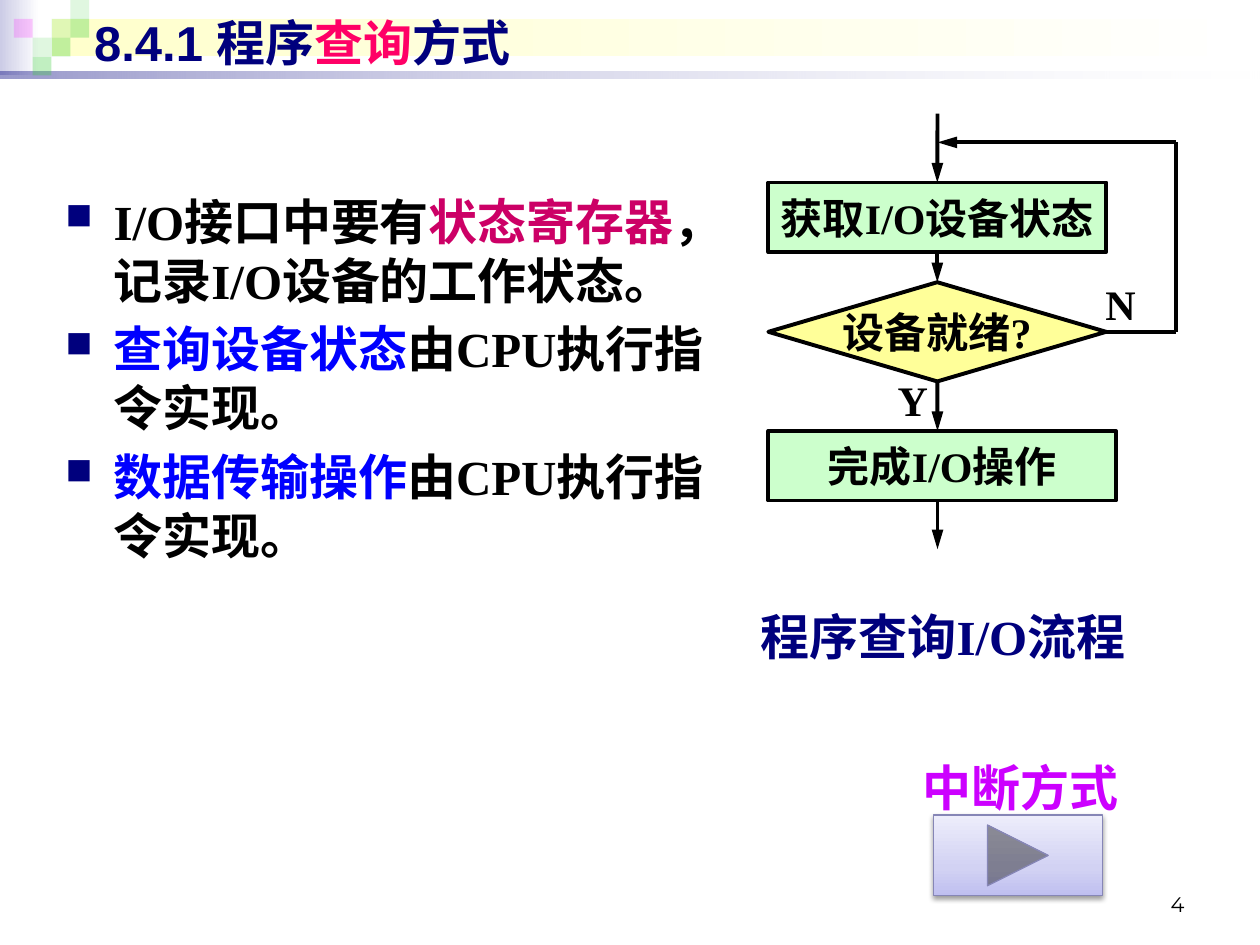
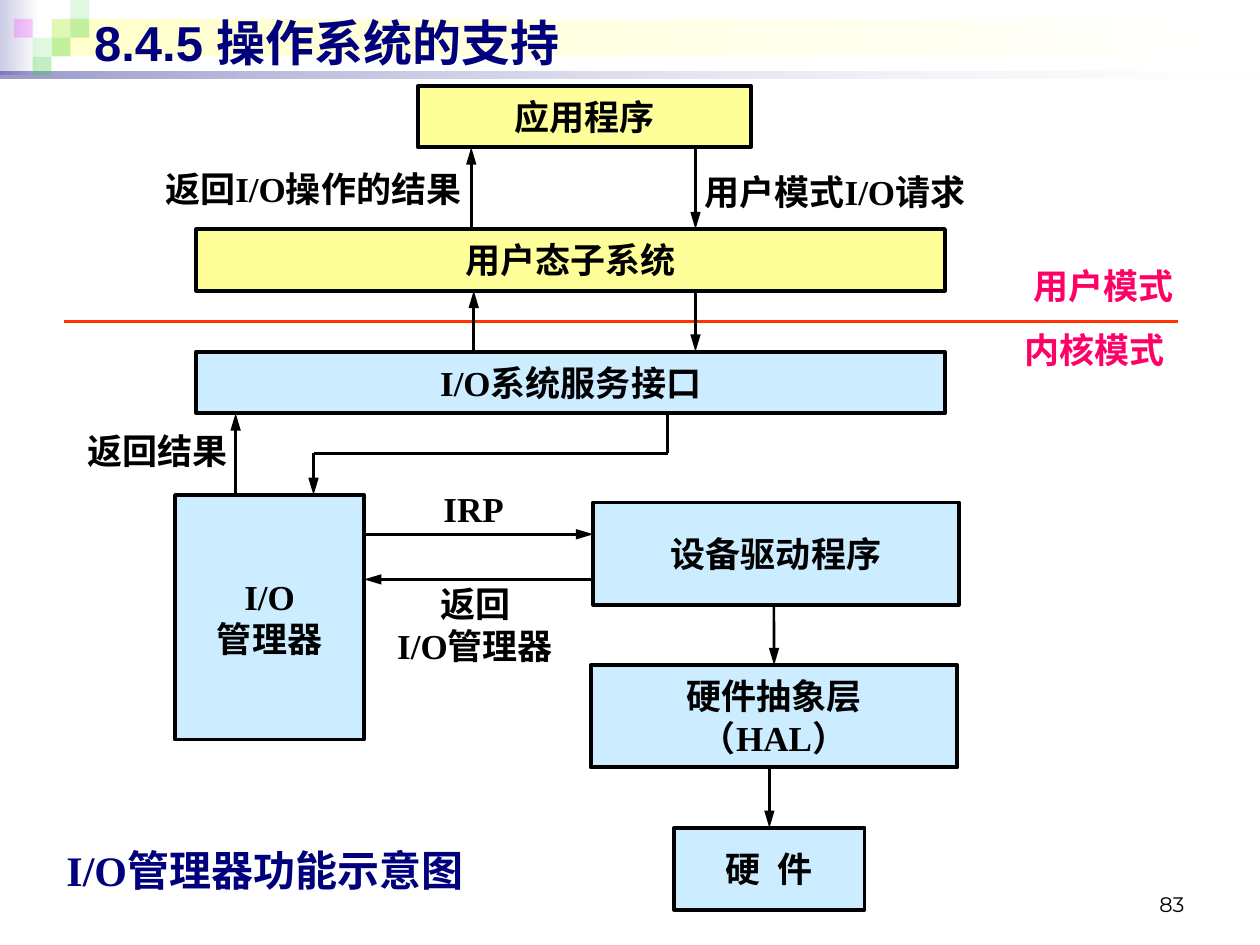
import pptx
import pptx.util
import pptx.dml.color
import pptx.enum.shapes
import pptx.enum.text
import pptx.oxml
import pptx.oxml.ns
from lxml import etree

Cm, Pt = pptx.util.Cm, pptx.util.Pt
qn = pptx.oxml.ns.qn
SHAPE = pptx.enum.shapes.MSO_SHAPE
ALIGN = {"l": pptx.enum.text.PP_ALIGN.LEFT, "c": pptx.enum.text.PP_ALIGN.CENTER,
         "r": pptx.enum.text.PP_ALIGN.RIGHT}
ANCHOR = {"t": pptx.enum.text.MSO_ANCHOR.TOP, "m": pptx.enum.text.MSO_ANCHOR.MIDDLE,
          "b": pptx.enum.text.MSO_ANCHOR.BOTTOM}

COLORS = {
    "black": "000000", "white": "FFFFFF", "navy": "00007D", "pink": "FF0066",
    "crimson": "CC0066", "blue": "0000FF", "violet": "CC00FF", "orange": "FF3300",
    "mint": "CCFFCC", "yellow": "FFFF99", "sky": "CCECFF", "green": "33CC33",
    "magenta": "FF00FF", "lavender": "CCCCE6", "cream": "FFFFCC",
    "button_low": "BFBFF0", "button_mid": "D2D2F3", "button_high": "EDEDFB",
    "button_edge": "8686B6",
}
SERIF, SANS, NUMBER = "Times New Roman", "Arial", "Montserrat"

# Shared band: gradient strips, then squares on a grid (column, row, colour, opacity)
STRIPS = [
    ((0, 0, 0.79, 1.52), [(0, "lavender", 100), (100, "white", 100)]),
    ((1.04, 0.38, 24.26, 0.76), [(0, "cream", 100), (100, "white", 100)]),
    ((0, 1.45, 25.4, 0.13), [(0, "navy", 40), (100, "white", 10)]),
]
SQUARES = [(2, 1, "green", 15), (3, 0, "green", 15), (3, 1, "green", 30),
           (1, 2, "green", 15), (0, 1, "magenta", 20), (2, 2, "green", 30),
           (1, 3, "green", 30)]
SQUARE, SQUARES_LEFT = 0.38, 0.28

# Slide 1: polling. Paragraphs are lists of (text, colour) runs
POLL_TITLE = [("8.4.1 程序", "navy"), ("查询", "pink"), ("方式", "navy")]
POLL_POINTS = [
    [("I/O接口中要有", "black"), ("状态寄存器", "crimson"),
     ("，记录I/O设备的工作状态。", "black")],
    [("查询设备状态", "blue"), ("由CPU执行指令实现。", "black")],
    [("数据传输操作", "blue"), ("由CPU执行指令实现。", "black")],
]
AXIS, LOOP_X, LOOP_Y, READY_Y = 18.9, 23.7, 2.87, 6.69
POLL_BOXES = {  # name: (kind, place, fill, lines)
    "status": (SHAPE.FLOWCHART_PROCESS, (15.49, 3.68, 6.81, 1.4), "mint", ["获取I/O设备状态"]),
    "ready": (SHAPE.FLOWCHART_DECISION, (15.49, 5.69, 6.81, 2), "yellow", ["设备就绪?"]),
    "finish": (SHAPE.FLOWCHART_PROCESS, (15.49, 8.69, 7.01, 1.4), "mint", ["完成I/O操作"]),
}
POLL_LINES = [  # (from, to, arrow); an end is a point or (box, side)
    (("status", 2), ("ready", 0), True),
    ((AXIS, 2.29), ("status", 0), True),
    (("ready", 2), (AXIS, 8.69), True),
    ((AXIS, 10.09), (AXIS, 11.07), True),
    (("ready", 3), (LOOP_X, READY_Y), False),
    ((LOOP_X, READY_Y), (LOOP_X, LOOP_Y), False),
    ((LOOP_X, LOOP_Y), (AXIS, LOOP_Y), True),
]
POLL_LABELS = [  # (place, lines, size, colour, alignment)
    ((17.7, 7.42, 1.4, 1.27), ["Y"], 24, "black", "c"),
    ((21.89, 5.49, 1.4, 1.27), ["N"], 24, "black", "c"),
    ((14.5, 12.09, 9.02, 1.45), ["程序查询I/O流程"], 28, "navy", "c"),
    ((18.31, 15.14, 4.52, 1.45), ["中断方式"], 28, "violet", "c"),
]
BUTTON = (18.82, 16.43, 3.4, 1.63)
BUTTON_STOPS = [(0, "button_low", 100), (35, "button_mid", 100), (100, "button_high", 100)]

# Slide 2: operating system support
OS_TITLE = [("8.4.5 操作系统的支持", "navy")]
OS_CAPTION = [("I/O管理器功能示意图", "navy")]
RECT = SHAPE.RECTANGLE
OS_BOXES = {
    "service": (RECT, (3.96, 7.09, 15.09, 1.24), "sky", ["I/O系统服务接口"]),
    "manager": (RECT, (3.53, 9.98, 3.81, 4.93), "sky", ["I/O", "管理器"]),
    "app": (RECT, (8.43, 1.73, 6.71, 1.24), "yellow", ["应用程序"]),
    "subsystem": (RECT, (3.96, 4.62, 15.09, 1.24), "yellow", ["用户态子系统"]),
    "driver": (RECT, (11.96, 10.13, 7.37, 2.06), "sky", ["设备驱动程序"]),
    "hal": (RECT, (11.91, 13.41, 7.39, 2.06), "sky", ["硬件抽象层", "（HAL）"]),
    "hardware": (RECT, (13.59, 16.69, 3.84, 1.65), "sky", ["硬 件"]),
}
WIDE_SPACE = "硬 件"  # its space is widened by character spacing
REQUEST_X, TURN_Y = 14.02, 9.14
OS_LINES = [
    ((REQUEST_X, 2.97), (REQUEST_X, 4.62), True),
    ((REQUEST_X, 5.86), (REQUEST_X, 7.09), True),
    ((13.46, 8.33), (13.46, TURN_Y), False),
    ((13.46, TURN_Y), (6.32, TURN_Y), False),
    ((6.32, TURN_Y), (6.32, 9.98), True),
    ((4.75, 9.98), (4.75, 8.33), True),
    ((9.55, 7.09), (9.55, 5.86), True),
    ((9.5, 4.62), (9.5, 2.97), True),
    ((7.34, 10.77), (11.96, 10.77), True),
    ((11.96, 11.68), (7.34, 11.68), True),
    ((15.6, 12.19), ("hal", 0), True),
    ((15.51, 15.47), ("hardware", 0), True),
]
MODE_LINE = ((1.3, 6.48), (23.75, 6.48), False)
OS_LABELS = [
    ((20.5, 5.28, 3.51, 0.97), ["用户模式"], 20, "pink", "c"),
    ((20.65, 6.53, 3.66, 1.02), ["内核模式"], 20, "pink", "l"),
    ((8.94, 9.8, 1.57, 0.91), ["IRP"], 20, "black", "l"),
    ((7.7, 11.73, 3.76, 1.73), ["返回", "I/O管理器"], 20, "black", "c"),
    ((14.2, 3.35, 6.5, 1.02), ["用户模式I/O请求"], 20, "black", "l"),
    ((1.5, 8.53, 3.35, 1.12), ["返回结果"], 20, "black", "c"),
    ((2.06, 3.28, 7.24, 1.04), ["返回I/O操作的结果"], 20, "black", "r"),
]


def rgb(name):
    return pptx.dml.color.RGBColor.from_string(COLORS[name])


def lengths(values):
    return [Cm(v) for v in values]


def add_color(parent, name, opacity):
    clr = etree.SubElement(parent, qn("a:srgbClr"), val=COLORS[name])
    if opacity < 100:
        etree.SubElement(clr, qn("a:alpha"), val=str(opacity * 1000))


def set_gradient(sp, stops, angle=0):
    sp.fill.gradient()
    sp.fill.gradient_angle = angle
    gs_list = sp._element.spPr.find(".//" + qn("a:gsLst"))
    for gs in list(gs_list):
        gs_list.remove(gs)
    for pos, name, opacity in stops:
        gs = etree.SubElement(gs_list, qn("a:gs"), pos=str(pos * 1000))
        add_color(gs, name, opacity)


def add_shape(s, kind, place, fill=None, line=None, width=2.25):
    sp = s.shapes.add_shape(kind, *lengths(place))
    sp.shadow.inherit = False
    if fill:
        sp.fill.solid()
        sp.fill.fore_color.rgb = rgb(fill)
    if line:
        sp.line.color.rgb = rgb(line)
        sp.line.width = Pt(width)
    else:
        sp.line.fill.background()
    return sp


def add_bullet(p):
    pPr = p._p.get_or_add_pPr()
    pPr.set("marL", str(Cm(0.97)))
    pPr.set("indent", str(-Cm(0.97)))
    add_color(etree.SubElement(pPr, qn("a:buClr")), "navy", 100)
    etree.SubElement(pPr, qn("a:buSzPct"), val="75000")
    etree.SubElement(pPr, qn("a:buChar"), char="■")


def write(sp, paragraphs, size, font=SERIF, align="c", anchor="m", inset=(0, 0),
          bold=True, bullets=False, wrap=True):
    tf = sp.text_frame
    tf.word_wrap = wrap
    tf.vertical_anchor = ANCHOR[anchor]
    tf.margin_left = tf.margin_right = Cm(inset[0])
    tf.margin_top = tf.margin_bottom = Cm(inset[1])
    for i, runs in enumerate(paragraphs):
        p = tf.add_paragraph() if i else tf.paragraphs[0]
        if bullets:
            add_bullet(p)
            if i:
                p.space_before = Pt(5.6)
        p.alignment = ALIGN[align]
        for text, color in runs:
            r = p.add_run()
            r.text = text
            r.font.name, r.font.size, r.font.bold = font, Pt(size), bold
            r.font.color.rgb = rgb(color)
            if text == " ":
                r._r.get_or_add_rPr().set("spc", "500")


def add_text(s, place, paragraphs, size, **style):
    write(s.shapes.add_textbox(*lengths(place)), paragraphs, size, **style)


def add_line(s, line, boxes, color="black", width=1.5):
    start, end, arrow = line
    points = [(0, 0) if pt[0] in boxes else pt for pt in (start, end)]
    c = s.shapes.add_connector(pptx.enum.shapes.MSO_CONNECTOR.STRAIGHT,
                               *lengths(points[0] + points[1]))
    for pt, join in ((start, c.begin_connect), (end, c.end_connect)):
        if pt[0] in boxes:
            join(boxes[pt[0]], pt[1])
    c.line.color.rgb = rgb(color)
    c.line.width = Pt(width)
    spPr = c._element.spPr
    if arrow:
        etree.SubElement(spPr.find(qn("a:ln")), qn("a:tailEnd"), type="triangle", len="lg")
    etree.SubElement(spPr, qn("a:effectLst"))


def add_diagram(s, box_data, lines, labels, size, width):
    boxes = {}
    for name, (kind, place, fill, texts) in box_data.items():
        boxes[name] = sp = add_shape(s, kind, place, fill, "black")
        paragraphs = [[(t, "black")] for t in texts]
        if texts == [WIDE_SPACE]:
            paragraphs = [[(t, "black") for t in WIDE_SPACE]]
        write(sp, paragraphs, size, wrap=False)
    for line in lines:
        add_line(s, line, boxes, width=width)
    for place, texts, label_size, color, align in labels:
        add_text(s, place, [[(t, color)] for t in texts], label_size, align=align)


def new_slide(prs, title, number):
    s = prs.slides.add_slide(prs.slide_layouts[6])
    for place, stops in STRIPS:
        set_gradient(add_shape(s, RECT, place), stops)
    for col, row, color, opacity in SQUARES:
        place = (SQUARES_LEFT + col * SQUARE, row * SQUARE, SQUARE, SQUARE)
        sp = add_shape(s, RECT, place, color)
        clr = sp._element.spPr.find(qn("a:solidFill")).find(qn("a:srgbClr"))
        etree.SubElement(clr, qn("a:alpha"), val=str(opacity * 1000))
    add_text(s, (18.21, 17.35, 5.92, 1.27), [[(number, "black")]], 12, font=NUMBER,
             align="r", anchor="b", inset=(0.25, 0.13), bold=False)
    add_text(s, (1.65, 0.13, 22.86, 1.45), [title], 28, font=SANS, align="l",
             inset=(0.25, 0.13))
    return s


def add_button(s):
    sp = add_shape(s, SHAPE.ACTION_BUTTON_FORWARD_OR_NEXT, BUTTON, line="button_edge", width=0.75)
    set_gradient(sp, BUTTON_STOPS, 90)
    effects = sp._element.spPr.find(qn("a:effectLst"))
    shadow = etree.SubElement(effects, qn("a:outerShdw"), blurRad=str(Pt(3.1)),
                              dist=str(Pt(1.6)), dir="5400000", rotWithShape="0")
    add_color(shadow, "black", 38)


def main():
    prs = pptx.Presentation()
    prs.slide_width, prs.slide_height = Cm(25.4), Cm(19.05)

    # Polling slide
    s = new_slide(prs, POLL_TITLE, "4")
    add_text(s, (1.07, 3.73, 14.22, 13.59), POLL_POINTS, 28, align="l", anchor="t",
             inset=(0.25, 0.13), bullets=True)
    add_diagram(s, POLL_BOXES, POLL_LINES, POLL_LABELS, 24, 2.25)
    add_button(s)

    # Operating system slide
    s = new_slide(prs, OS_TITLE, "83")
    add_text(s, (1.09, 16.84, 13.03, 1.4), [OS_CAPTION], 24, align="l", inset=(0.25, 0.13))
    add_line(s, MODE_LINE, {}, "orange")
    add_diagram(s, OS_BOXES, OS_LINES, OS_LABELS, 20, 1.5)

    prs.save("out.pptx")


if __name__ == "__main__":
    main()
